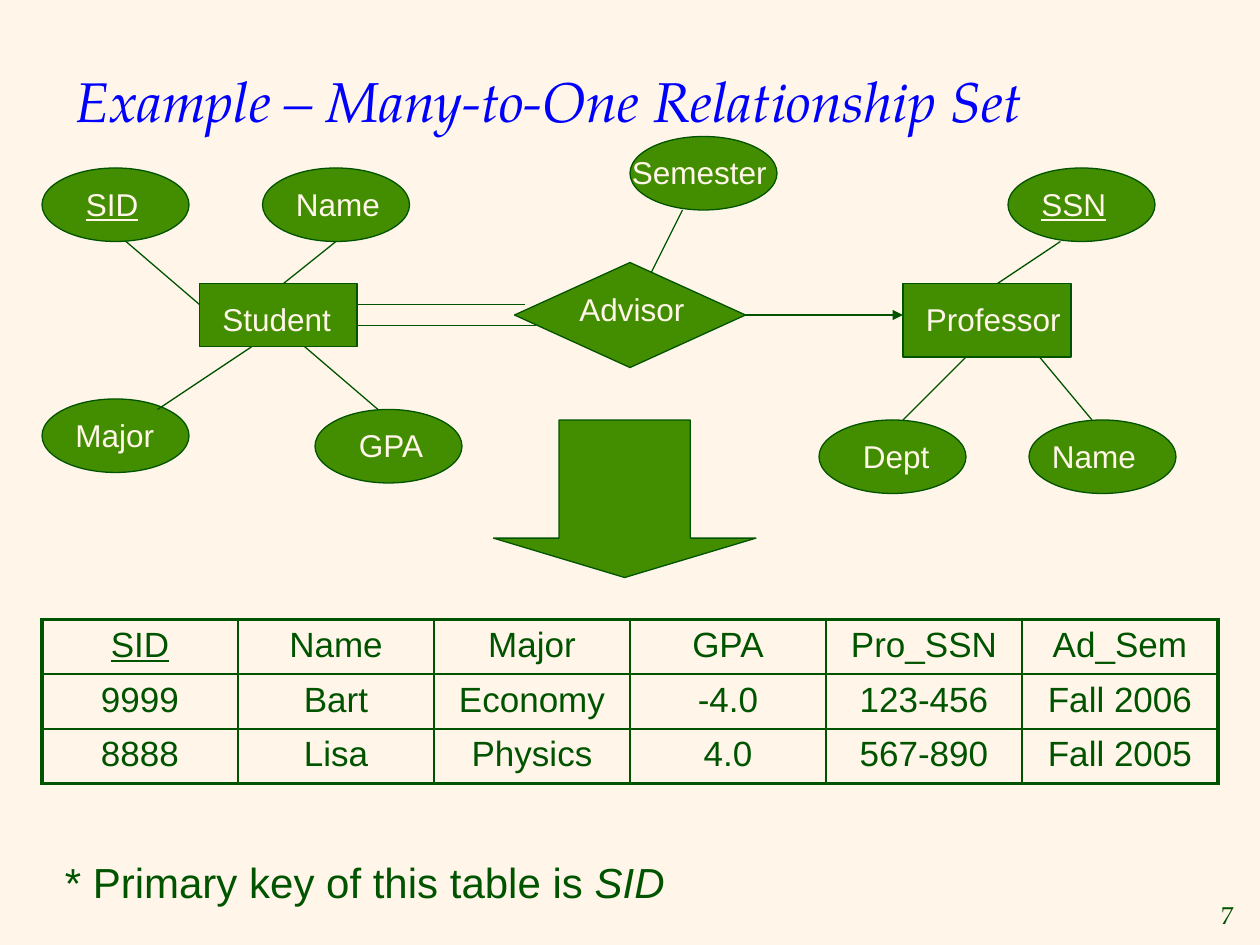
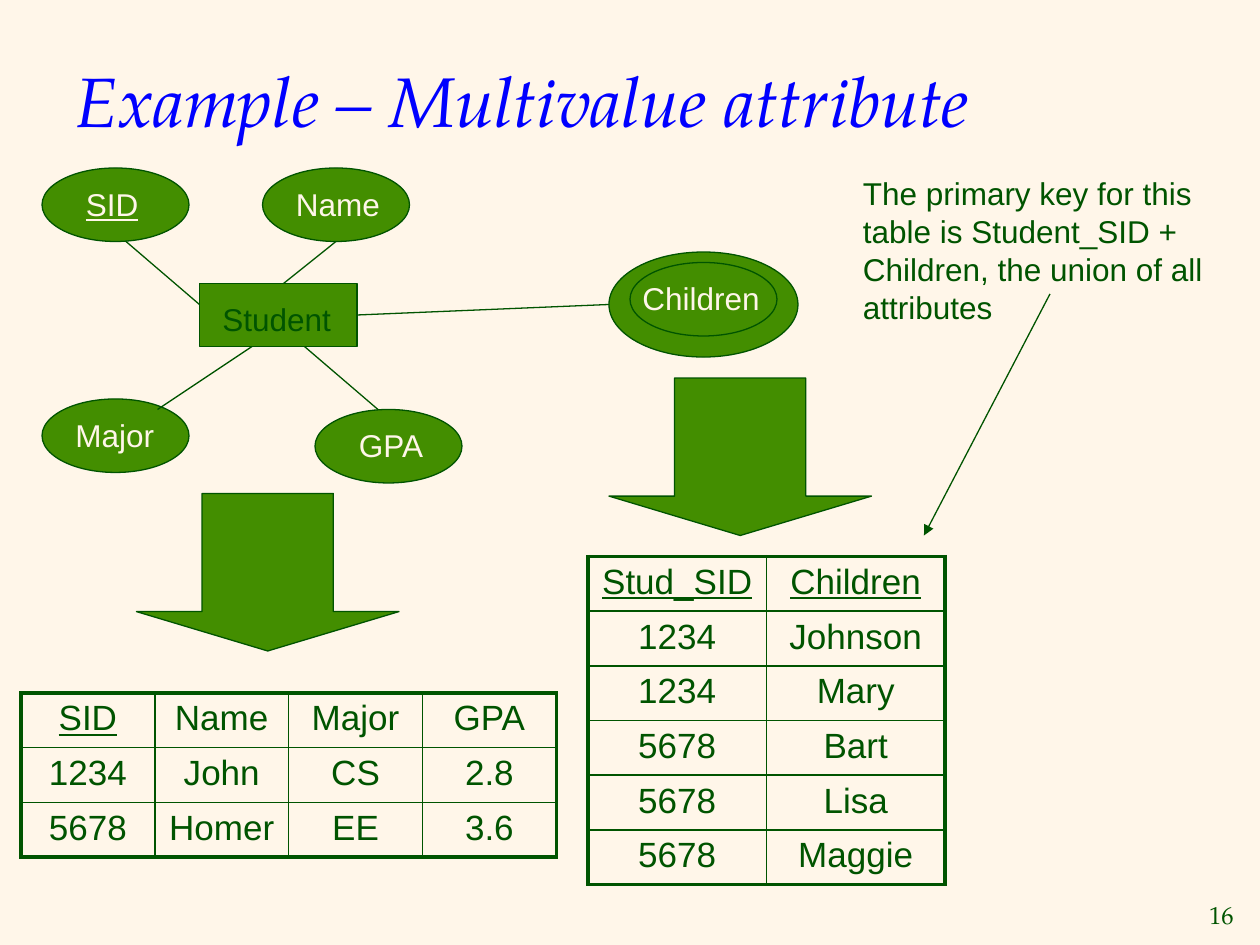
from lxml import etree
from pptx import Presentation
from pptx.dml.color import RGBColor
from pptx.enum import shapes, text
from pptx.oxml import ns
from pptx.util import Pt

CREAM, GREEN, DARK, BLUE = "FFF6E9", "438E00", "005400", "0000FF"
SANS, SERIF = "Arial", "TeX Gyre Pagella"
OVAL = shapes.MSO_SHAPE.OVAL
BOX = shapes.MSO_SHAPE.RECTANGLE
DIAMOND = shapes.MSO_SHAPE.FLOWCHART_DECISION
ARROW = shapes.MSO_SHAPE.DOWN_ARROW
LEFT, CENTER, RIGHT = (text.PP_ALIGN.LEFT, text.PP_ALIGN.CENTER,
                       text.PP_ALIGN.RIGHT)


def rgb(value):
    return RGBColor.from_string(value)


def add_xml(parent, tag, **attributes):
    return etree.SubElement(parent, ns.qn(tag), attributes)


class Deck:
    """Holds the shared style and the slide being drawn."""

    def __init__(self):
        self.presentation = Presentation()
        self.presentation.slide_width = Pt(720)
        self.presentation.slide_height = Pt(540)
        fill = self.presentation.slide_master.background.fill
        fill.solid()
        fill.fore_color.rgb = rgb(CREAM)
        self.slide = None

    def style(self, paragraph, size, color, font=SANS, align=LEFT):
        paragraph.alignment = align
        paragraph.font.name = font
        paragraph.font.size = Pt(size)
        paragraph.font.color.rgb = rgb(color)

    def new_slide(self, title, size, number):
        layout = self.presentation.slide_layouts.get_by_name("Title Only")
        self.slide = self.presentation.slides.add_slide(layout)
        shape = self.slide.shapes.title
        shape.left, shape.top, shape.width, shape.height = map(
            Pt, (36, 12, 648, 90))
        frame = shape.text_frame
        frame.text = title
        frame.auto_size = text.MSO_AUTO_SIZE.NONE
        frame.vertical_anchor = text.MSO_ANCHOR.MIDDLE
        paragraph = frame.paragraphs[0]
        self.style(paragraph, size, BLUE, SERIF)
        paragraph.font.italic = True
        self.words(str(number), 680, 511, 32, 24, size=14, color=DARK,
                   font=SERIF, align=RIGHT)

    def words(self, content, left, top, width, height=28.8, size=18,
              color=CREAM, font=SANS, align=LEFT, underline=False):
        box = self.slide.shapes.add_textbox(
            Pt(left), Pt(top), Pt(width), Pt(height))
        box.text_frame.word_wrap = True
        paragraph = box.text_frame.paragraphs[0]
        paragraph.text = content
        self.style(paragraph, size, color, font, align)
        paragraph.font.underline = underline
        return paragraph

    def shape(self, kind, left, top, width=84, height=42):
        shape = self.slide.shapes.add_shape(
            kind, Pt(left), Pt(top), Pt(width), Pt(height))
        shape.shadow.inherit = False
        shape.fill.solid()
        shape.fill.fore_color.rgb = rgb(GREEN)
        shape.line.color.rgb = rgb(DARK)
        shape.line.width = Pt(0.75)
        return shape

    def node(self, kind, left, top, label, indent, label_width,
             size=(84, 42), drop=6, **label_style):
        """A diagram shape with its label set in from the top left corner."""
        self.shape(kind, left, top, *size)
        self.words(label, left + indent, top + drop, label_width,
                   **label_style)

    def down_arrow(self, left, top):
        arrow = self.shape(ARROW, left, top, 150, 90)
        arrow.adjustments[0], arrow.adjustments[1] = 0.5, 0.25

    def line(self, x1, y1, x2, y2, arrow=False):
        connector = self.slide.shapes.add_connector(
            shapes.MSO_CONNECTOR.STRAIGHT, Pt(x1), Pt(y1), Pt(x2), Pt(y2))
        connector.line.color.rgb = rgb(DARK)
        connector.line.width = Pt(0.75)
        if arrow:
            add_xml(connector.line._get_or_add_ln(), "a:tailEnd",
                    type="triangle")
        add_xml(connector._element.spPr, "a:effectLst")

    def table(self, left, top, width, rows, keys=1):
        """A ruled table; the headings of the first key columns are underlined."""
        row_count, column_count = len(rows), len(rows[0])
        row_height = Pt(31.2)
        table = self.slide.shapes.add_table(
            row_count, column_count, Pt(left), Pt(top), Pt(width),
            row_height * row_count).table
        table.first_row = table.horz_banding = False
        for row in table.rows:
            row.height = row_height
        for r, row in enumerate(rows):
            for c, value in enumerate(row):
                cell = table.cell(r, c)
                cell.text = value
                paragraph = cell.text_frame.paragraphs[0]
                self.style(paragraph, 20, DARK, align=CENTER)
                paragraph.font.underline = r == 0 and c < keys
                outer = {"a:lnL": c == 0, "a:lnR": c == column_count - 1,
                         "a:lnT": r == 0, "a:lnB": r == row_count - 1}
                self.borders(cell, outer)
                cell.fill.solid()
                cell.fill.fore_color.rgb = rgb(CREAM)

    def borders(self, cell, outer):
        properties = cell._tc.get_or_add_tcPr()
        for side, is_outer in outer.items():
            border = add_xml(properties, side, w=str(Pt(2.25 if is_outer else 1)))
            add_xml(add_xml(border, "a:solidFill"), "a:srgbClr", val=DARK)

    def student(self, color=CREAM):
        """The Student entity with its four attributes."""
        self.node(BOX, 114, 162, "Student", 6, 78, (90, 36), color=color)
        self.node(OVAL, 24, 96, "SID", 18, 60, underline=True)
        self.node(OVAL, 150, 96, "Name", 12, 66)
        self.node(OVAL, 24, 228, "Major", 12, 60)
        self.node(OVAL, 180, 234, "GPA", 18, 54)
        for ends in ((72, 138, 114, 174), (192, 138, 162, 162),
                     (216, 234, 174, 198), (90, 234, 144, 198)):
            self.line(*ends)


def many_to_one(deck):
    deck.new_slide("Example – Many-to-One Relationship Set", 32, 7)
    deck.student()

    # Relationship and its attribute
    deck.node(DIAMOND, 294, 150, "Advisor", 30, 102, (132, 60), drop=12)
    deck.node(OVAL, 360, 78, "Semester", -6, 102)
    deck.line(372, 156, 390, 120)
    deck.line(300, 174, 204, 174)
    deck.line(204, 186, 306, 186)
    deck.line(426, 180, 516, 180, arrow=True)

    # Professor entity
    deck.node(BOX, 516, 162, "Professor", 6, 102, (96, 42))
    deck.node(OVAL, 576, 96, "SSN", 12, 90, underline=True)
    deck.node(OVAL, 468, 240, "Dept", 18, 54)
    deck.node(OVAL, 588, 240, "Name", 6, 66)
    deck.line(606, 138, 570, 162)
    deck.line(552, 204, 516, 240)
    deck.line(594, 204, 624, 240)

    # Resulting table
    deck.down_arrow(282, 240)
    deck.table(24, 354, 672, [
        ["SID", "Name", "Major", "GPA", "Pro_SSN", "Ad_Sem"],
        ["9999", "Bart", "Economy", "-4.0", "123-456", "Fall 2006"],
        ["8888", "Lisa", "Physics", "4.0", "567-890", "Fall 2005"]])
    note = deck.words("* Primary key of this table is ", 30, 486, 654,
                      size=24, color=DARK)
    key = note.add_run()
    key.text = "SID"
    key.font.italic = True


def multivalue(deck):
    deck.new_slide("Example – Multivalue attribute", 40, 16)
    deck.student(color=DARK)

    # Multivalue attribute: a double oval
    deck.shape(OVAL, 348, 144, 108, 60)
    deck.node(OVAL, 360, 150, "Children", 0, 84)
    deck.line(348, 174, 204, 180)

    # Resulting tables
    deck.down_arrow(78, 282)
    deck.down_arrow(348, 216)
    deck.table(12, 396, 306, [
        ["SID", "Name", "Major", "GPA"],
        ["1234", "John", "CS", "2.8"],
        ["5678", "Homer", "EE", "3.6"]])
    deck.table(336, 318, 204, [
        ["Stud_SID", "Children"],
        ["1234", "Johnson"],
        ["1234", "Mary"],
        ["5678", "Bart"],
        ["5678", "Lisa"],
        ["5678", "Maggie"]], keys=2)

    # Remark on the key
    deck.words("The primary key for this table is Student_SID + Children, "
               "the union of all attributes", 486, 96, 216, 93.6, color=DARK)
    deck.line(600, 168, 528, 306, arrow=True)


def main():
    deck = Deck()
    many_to_one(deck)
    multivalue(deck)
    deck.presentation.save("out.pptx")


if __name__ == "__main__":
    main()
